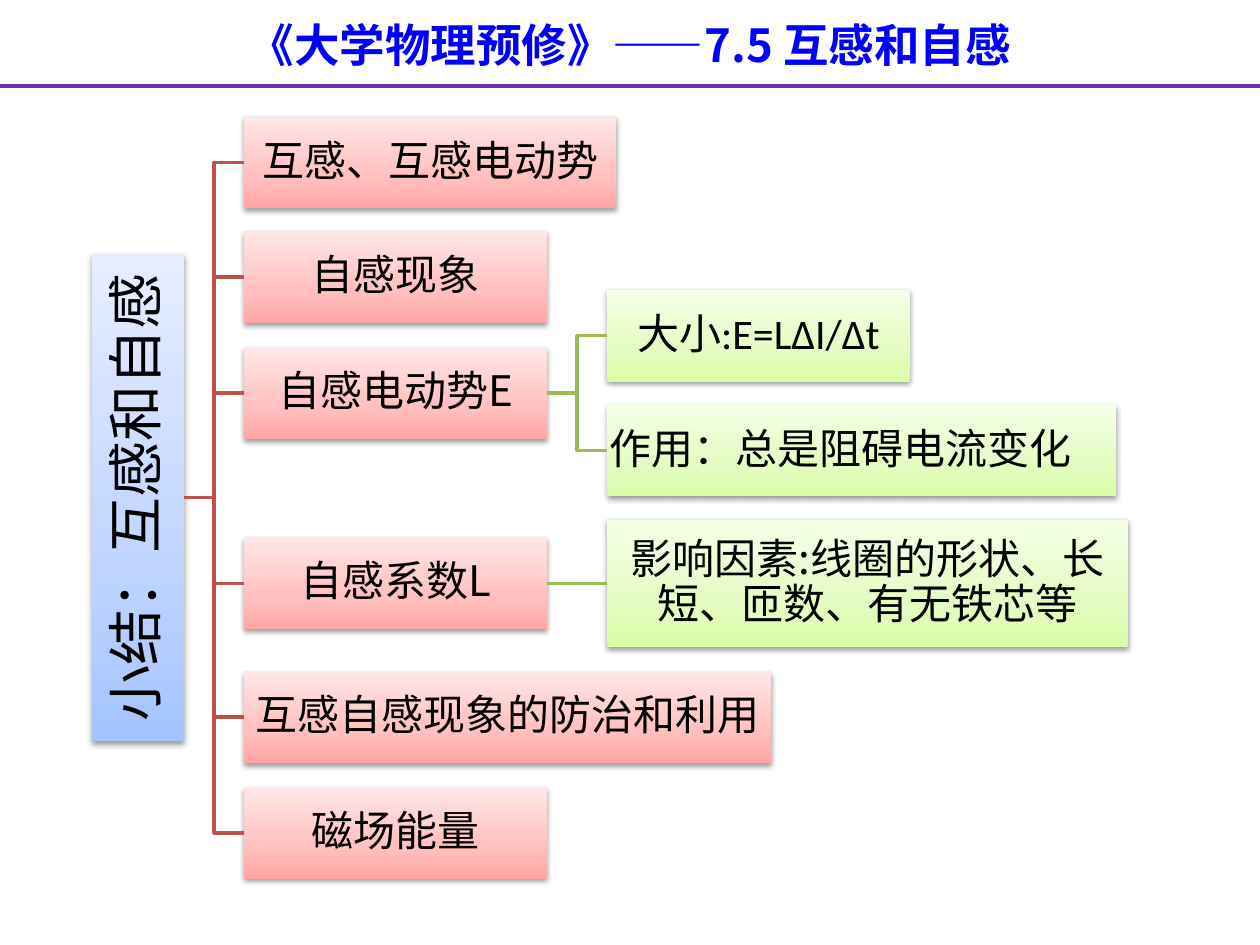
from lxml.etree import SubElement
from pptx import Presentation
from pptx.dml.color import RGBColor
from pptx.enum.shapes import MSO_CONNECTOR as Link, MSO_SHAPE as Shape
from pptx.enum.text import MSO_ANCHOR as Anchor, PP_ALIGN as Align
from pptx.oxml import parse_xml
from pptx.oxml.ns import nsdecls, qn
from pptx.util import Inches, Pt

TITLE = "《大学物理预修》——7.5 互感和自感"
ROOT = "小结：互感和自感"
# label, centre height, width, children as (label, width, height)
TOPICS = [
    ("互感、互感电动势", 1.29, 2.95, []),
    ("自感现象", 2.2, 2.4, []),
    ("自感电动势E", 3.12, 2.4, [
        ("大小|:E=LΔI/Δt", 2.4, 0.73),
        ("作用：总是阻碍电流变化", 4.04, 0.73)]),
    ("自感系数L", 4.63, 2.4, [
        ("影响因素:线圈的形状、长短、匝数、有无铁芯等", 4.13, 1.01)]),
    ("互感自感现象的防治和利用", 5.69, 4.18, []),
    ("磁场能量", 6.61, 2.4, []),
]
LEFT_SET = "作用"  # this label starts at the left edge of its box

THEME = {
    "font": "Noto Sans CJK SC", "latin": "Calibri",
    "title": 26, "root": 32, "node": 24,
    "ink": "000000", "head": "0000FF", "rule": "7030A0",
    "red": "C0504D", "green": "9BBB59",
    "blues": ("A4C4FF", "BFD4FF", "E6EEFF"),
    "reds": ("FFA6A5", "FFC0BF", "FFE7E7"),
    "greens": ("DAFDA7", "E4FCC2", "F5FFE7"),
}
STOPS = (0, 35, 100)
ROOT_X, ROOT_Y, ROOT_H = 0.73, 3.95, 3.86
COL_1, COL_2 = 1.94, 4.82
BOX_H, GAP = 0.73, 0.18

deck = Presentation()
deck.slide_width, deck.slide_height = Inches(10), Inches(7.5)
slide = deck.slides.add_slide(deck.slide_layouts[5])
shapes = slide.shapes


def style(run, size, color, face=THEME["font"], bold=False):
    font = run.font
    font.size, font.bold, font.name = Pt(size), bold, face
    font.color.rgb = RGBColor.from_string(color)
    SubElement(run._r.get_or_add_rPr(), qn("a:ea"), typeface=face)


def shade(box, colors):
    """Give the box an upward gradient and a soft shadow below."""
    stops = "".join(
        f'<a:gs pos="{pos * 1000}"><a:srgbClr val="{color}"/></a:gs>'
        for pos, color in zip(STOPS, colors))
    box.line.fill.background()
    line = box._element.spPr.find(qn("a:ln"))
    line.addprevious(parse_xml(
        f'<a:gradFill {nsdecls("a")} rotWithShape="1"><a:gsLst>{stops}</a:gsLst>'
        '<a:lin ang="16200000" scaled="0"/></a:gradFill>'))
    line.addnext(parse_xml(
        f'<a:effectLst {nsdecls("a")}><a:outerShdw blurRad="40000" dist="20000" '
        'dir="5400000" rotWithShape="0"><a:srgbClr val="000000">'
        '<a:alpha val="38000"/></a:srgbClr></a:outerShdw></a:effectLst>'))


def node(label, x, mid, w, h, colors, size=THEME["node"]):
    """Add a box centred on height mid; a bar starts its Latin part."""
    box = shapes.add_shape(Shape.RECTANGLE, Inches(x), Inches(mid - h / 2),
                           Inches(w), Inches(h))
    shade(box, colors)
    frame = box.text_frame
    frame.word_wrap, frame.vertical_anchor = True, Anchor.MIDDLE
    frame.margin_left = frame.margin_right = Inches(0.02)
    frame.margin_top = frame.margin_bottom = Inches(0.02)
    para = frame.paragraphs[0]
    para.line_spacing = 0.9
    para.alignment = Align.LEFT if label.startswith(LEFT_SET) else Align.CENTER
    for part, face in zip(label.split("|"), (THEME["font"], THEME["latin"])):
        run = para.add_run()
        run.text = part
        style(run, size, THEME["ink"], face)
    return box


def stroke(kind, start, end, color, width):
    line = shapes.add_connector(kind, *map(Inches, start + end))
    line.line.color.rgb = RGBColor.from_string(color)
    line.line.width = Pt(width)
    SubElement(line._element.spPr, qn("a:effectLst"))
    return line


def join(src, dst, level, color):
    """Link the right side of src to the left side of dst."""
    kind = Link.STRAIGHT if level else Link.ELBOW
    line = stroke(kind, (0, 0), (0, 0), color, 2)
    line.begin_connect(src, 3)
    line.end_connect(dst, 1)


title = shapes.title
title.left, title.top = Inches(0), Inches(0.08)
title.width, title.height = Inches(10), Inches(0.54)
title.text_frame.text = TITLE
title.text_frame.vertical_anchor = Anchor.MIDDLE
title.text_frame.paragraphs[0].alignment = Align.CENTER
style(title.text_frame.paragraphs[0].runs[0], THEME["title"], THEME["head"],
      bold=True)
stroke(Link.STRAIGHT, (0, 0.68), (10, 0.68), THEME["rule"], 2.25)

root = node(ROOT, ROOT_X, ROOT_Y, BOX_H, ROOT_H, THEME["blues"], THEME["root"])
root.text_frame._txBody.bodyPr.set("vert", "vert270")

for label, mid, width, kids in TOPICS:
    topic = node(label, COL_1, mid, width, BOX_H, THEME["reds"])
    join(root, topic, mid == ROOT_Y, THEME["red"])
    total = sum(h for _, _, h in kids) + GAP * (len(kids) - 1)
    top = mid - total / 2
    for text, w, h in kids:
        leaf = node(text, COL_2, top + h / 2, w, h, THEME["greens"])
        join(topic, leaf, len(kids) == 1, THEME["green"])
        top += h + GAP

deck.save("out.pptx")
